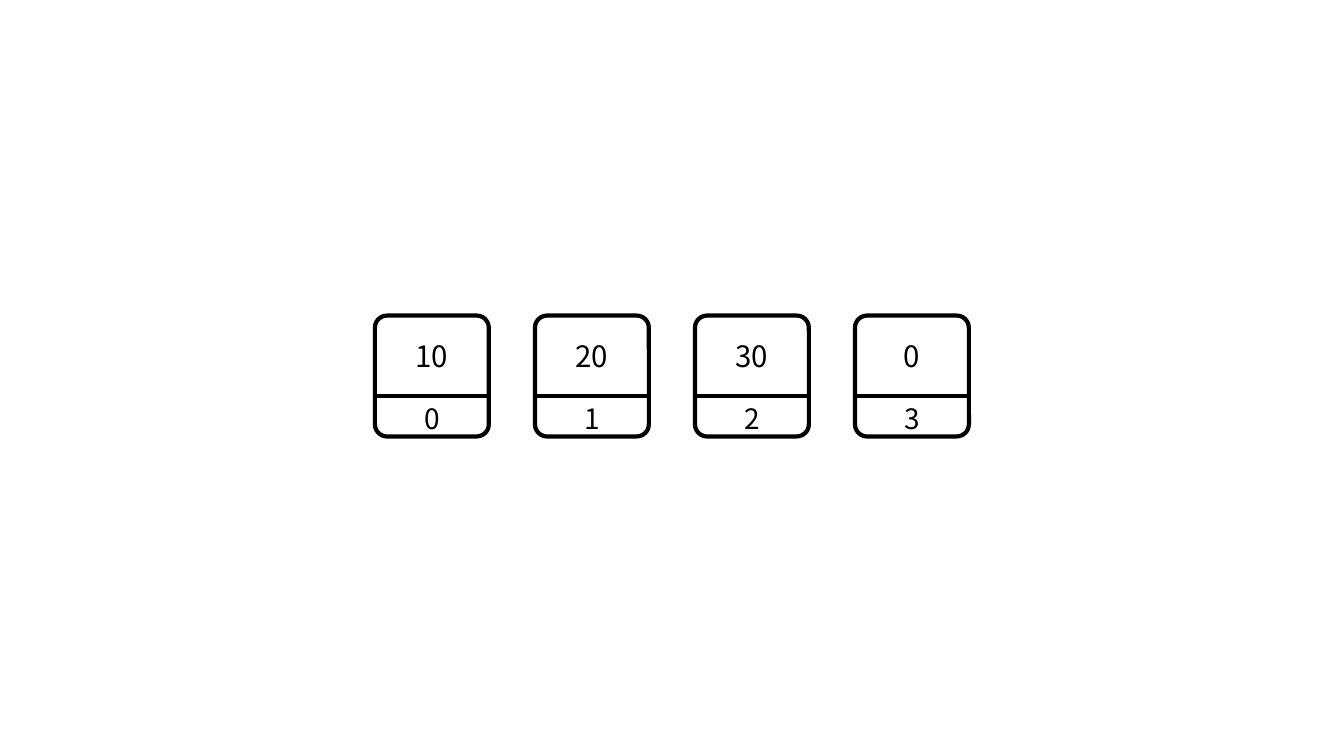
from dataclasses import dataclass

from pptx import Presentation
from pptx import util as u
from pptx.dml.color import RGBColor
from pptx.enum import shapes, text
from pptx.oxml.ns import qn
from lxml import etree


@dataclass(frozen=True)
class Theme:
    """Colours, font and sizes used on the slide."""
    ink: RGBColor = RGBColor(0, 0, 0)
    font: str = "Noto Sans CJK KR"
    value_size: float = 21
    index_size: float = 20
    stroke: float = 3


THEME = Theme()
VALUES = (10, 20, 30, 0)
FIRST_LEFT, PITCH = 267.8, 114.3
CELL_TOP, CELL_WIDTH, CELL_HEIGHT = 225.4, 81.4, 86.4
DIVIDER_TOP = 283
CORNER = 0.107


def style_line(line):
    """Apply the common stroke to a line."""
    line.color.rgb = THEME.ink
    line.width = u.Pt(THEME.stroke)


def add_frame(group, left):
    """Draw the rounded outline of a cell."""
    frame = group.shapes.add_shape(
        shapes.MSO_SHAPE.ROUNDED_RECTANGLE, u.Pt(left), u.Pt(CELL_TOP),
        u.Pt(CELL_WIDTH), u.Pt(CELL_HEIGHT))
    frame.adjustments[0] = CORNER
    frame.shadow.inherit = False
    frame.fill.background()
    style_line(frame.line)


def add_divider(group, left):
    """Draw the line between the value and the index."""
    divider = group.shapes.add_connector(
        shapes.MSO_CONNECTOR.STRAIGHT, u.Pt(left), u.Pt(DIVIDER_TOP),
        u.Pt(left + CELL_WIDTH), u.Pt(DIVIDER_TOP))
    style_line(divider.line)
    etree.SubElement(divider.element.spPr, qn("a:effectLst"))


def add_label(group, label, left, top, height, size, anchor):
    """Write centred text across the width of a cell."""
    box = group.shapes.add_textbox(
        u.Pt(left), u.Pt(top), u.Pt(CELL_WIDTH), u.Pt(height))
    frame = box.text_frame
    frame.word_wrap = True
    frame.auto_size = text.MSO_AUTO_SIZE.SHAPE_TO_FIT_TEXT
    frame.vertical_anchor = anchor
    para = frame.paragraphs[0]
    para.text = str(label)
    para.alignment = text.PP_ALIGN.CENTER
    para.font.name = THEME.font
    para.font.size = u.Pt(size)
    para.font.color.rgb = THEME.ink


def add_cell(page, index, value):
    """Build one array cell with its value above its index."""
    left = FIRST_LEFT + index * PITCH
    group = page.shapes.add_group_shape()
    add_frame(group, left)
    add_divider(group, left)
    add_label(group, index, left, DIVIDER_TOP, 31.5, THEME.index_size,
              text.MSO_ANCHOR.TOP)
    add_label(group, value, left, 237.6, 32.4, THEME.value_size,
              text.MSO_ANCHOR.MIDDLE)


def main():
    """Build and save the slide."""
    deck = Presentation()
    deck.slide_width, deck.slide_height = u.Pt(960), u.Pt(540)
    page = deck.slides.add_slide(deck.slide_layouts[6])
    for index, value in enumerate(VALUES):
        add_cell(page, index, value)
    deck.save("out.pptx")


main()
